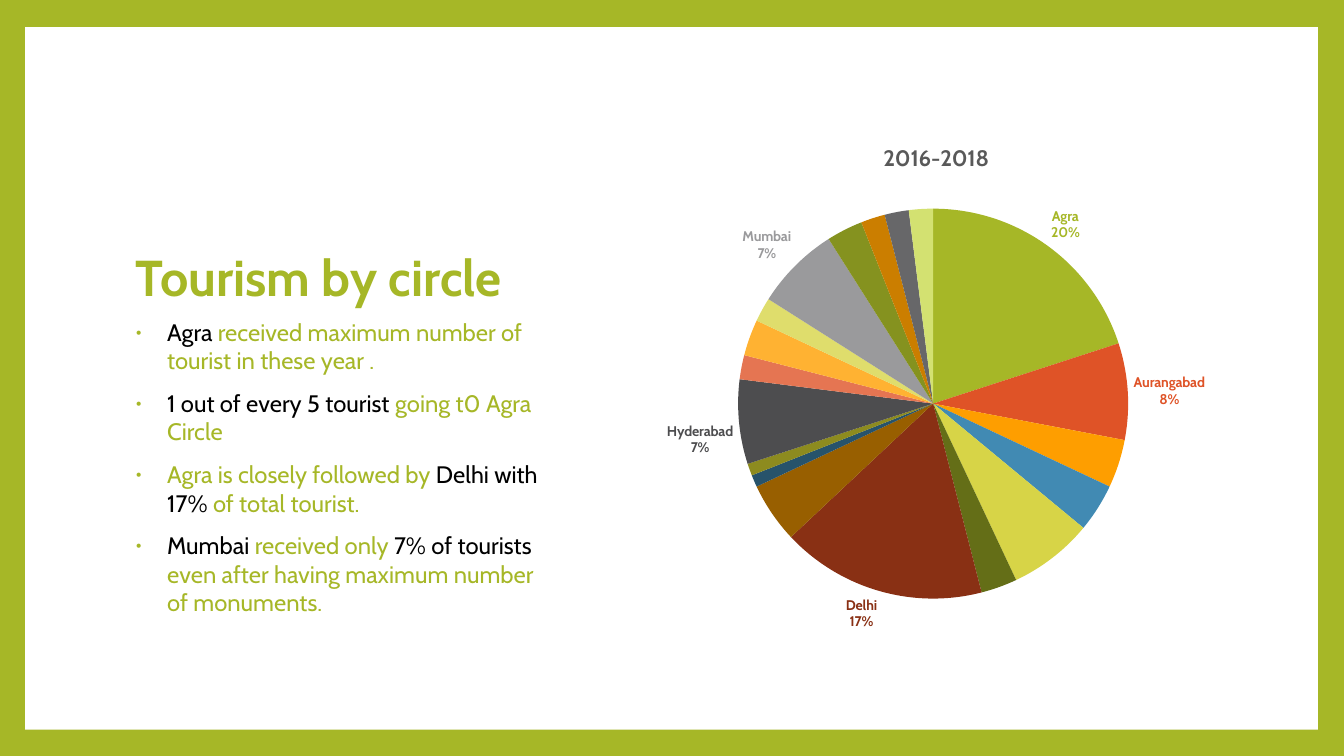
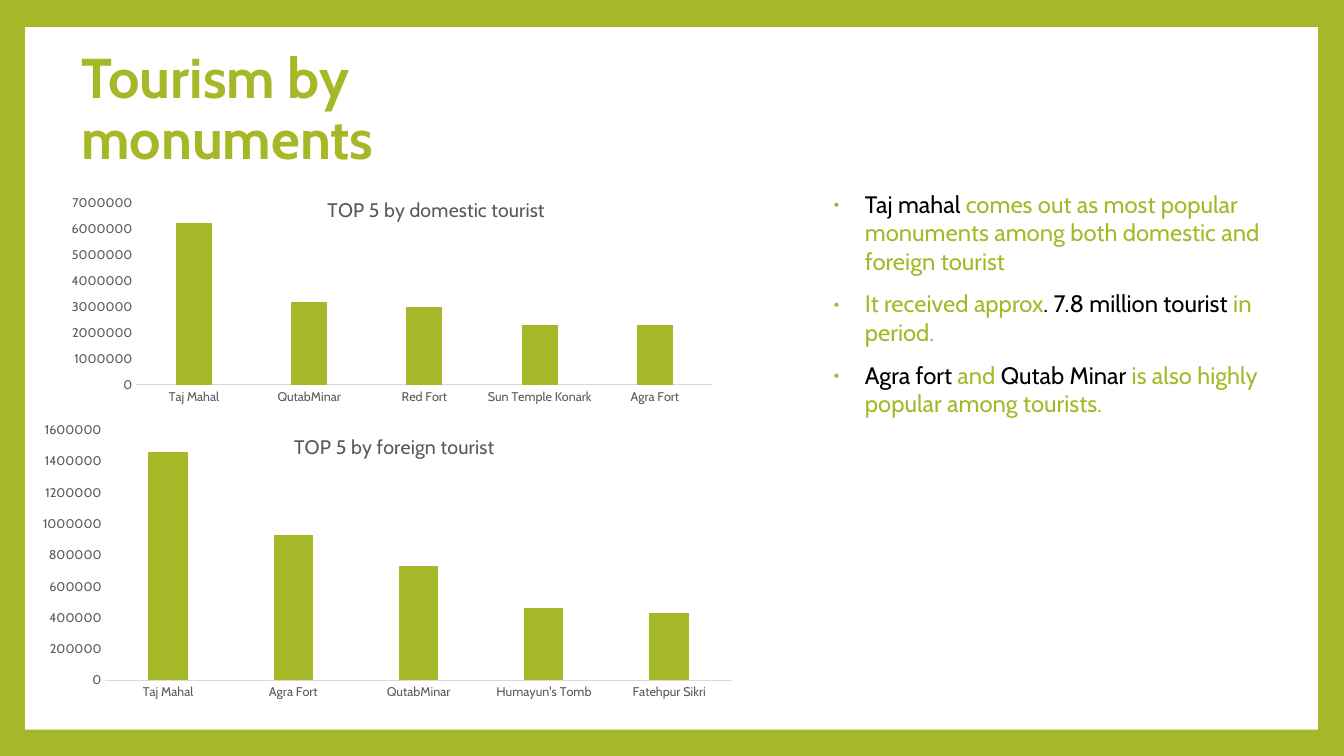
from dataclasses import dataclass

from pptx import Presentation
from pptx.chart.data import CategoryChartData
from pptx.dml.color import RGBColor
from pptx.enum.chart import XL_CHART_TYPE, XL_TICK_MARK
from pptx.enum.shapes import MSO_SHAPE
from pptx.enum.text import MSO_ANCHOR
from pptx.oxml import parse_xml
from pptx.oxml.ns import nsdecls, qn
from pptx.util import Inches, Pt

PIE = XL_CHART_TYPE.PIE
COLUMN = XL_CHART_TYPE.COLUMN_CLUSTERED
NO_TICK = XL_TICK_MARK.NONE
RECTANGLE = MSO_SHAPE.RECTANGLE
BOTTOM = MSO_ANCHOR.BOTTOM


@dataclass(frozen=True)
class Theme:
    font: str = "Cabin"
    green: str = "A6B727"
    black: str = "000000"
    white: str = "FFFFFF"
    grey: str = "595959"
    axis_line: str = "D9D9D9"
    body_size: int = 17
    pie_title_size: int = 16
    column_title_size: int = 14
    label_size: int = 10
    axis_size: int = 9


THEME = Theme()

CIRCLES = [
    ("Agra", 20, "A6B727"), ("Aurangabad", 8, "DF5327"),
    ("Bengaluru", 4, "FE9E00"), ("Bhopal", 4, "418AB3"),
    ("Bhubaneswar", 7, "D7D447"), ("Chandigarh", 0, "818183"),
    ("Chennai", 3, "646E17"), ("Delhi", 17, "893014"),
    ("Dharwad", 5, "985F00"), ("Guwahati", 1, "27536B"),
    ("Hampi Mini", 1, "8D8B1F"), ("Hyderabad", 7, "4D4D4F"),
    ("Jaipur", 0, "C5D741"), ("Jodhpur", 2, "E57552"),
    ("Kolkata", 3, "FFB232"), ("Leh Mini", 0, "63A3C6"),
    ("Lucknow", 2, "DFDD6C"), ("Mumbai", 7, "9A9A9C"),
    ("Patna", 3, "85921F"), ("Raipur", 0, "B7401B"),
    ("Sarnath", 2, "CB7E00"), ("Shimla Mini", 0, "346E8F"),
    ("Srinagar", 0, "BCB929"), ("Thrissur", 2, "676769"),
    ("Vadodara", 2, "D3E171"),
]
LABELLED_CIRCLES = {"Agra", "Aurangabad", "Delhi", "Hyderabad", "Mumbai"}

DOMESTIC = {"Taj Mahal": 6200000, "QutabMinar": 3200000, "Red Fort": 3000000,
            "Sun Temple Konark": 2300000, "Agra Fort": 2300000}
FOREIGN = {"Taj Mahal": 1460000, "Agra Fort": 930000, "QutabMinar": 730000,
           "Humayun's Tomb": 460000, "Fatehpur Sikri": 430000}

# Each bullet is a list of (text, emphasised) runs.
CIRCLE_BULLETS = [
    [("Agra", True),
     (" received maximum number of tourist in these year .", False)],
    [("1 out of every 5 tourist ", True), ("going t0 Agra Circle", False)],
    [("Agra is closely followed by ", False), ("Delhi with 17% ", True),
     ("of total tourist.", False)],
    [("Mumbai ", True), ("received only ", False), ("7% of tourists ", True),
     ("even after having maximum number of monuments.", False)],
]
MONUMENT_BULLETS = [
    [("Taj mahal ", True),
     ("comes out as most popular monuments among both domestic and foreign "
      "tourist", False)],
    [("It received approx", False), (". 7.8 million tourist ", True),
     ("in period.", False)],
    [("Agra fort ", True), ("and ", False), ("Qutab Minar ", True),
     ("is also highly popular among tourists.", False)],
]


def rgb(color):
    return RGBColor.from_string(color)


def box(left, top, width, height):
    return Inches(left), Inches(top), Inches(width), Inches(height)


def style_font(font, size, color, bold=False):
    font.name = THEME.font
    font.size = Pt(size)
    font.bold = bold
    font.color.rgb = rgb(color)


def add_run(paragraph, text, size, color, bold=False):
    run = paragraph.add_run()
    run.text = text
    style_font(run.font, size, color, bold)


def add_framed_slide(presentation):
    """Add a blank slide with the white panel that leaves a green border."""
    slide = presentation.slides.add_slide(presentation.slide_layouts[6])
    panel = slide.shapes.add_shape(RECTANGLE, *box(0.25, 0.27, 12.82, 6.97))
    panel.shadow.inherit = False
    panel.fill.solid()
    panel.fill.fore_color.rgb = rgb(THEME.white)
    panel.line.fill.background()
    return slide


def add_text_frame(slide, position):
    text_frame = slide.shapes.add_textbox(*box(*position)).text_frame
    text_frame.word_wrap = True
    return text_frame


def add_title(slide, text, position, size):
    text_frame = add_text_frame(slide, position)
    text_frame.vertical_anchor = BOTTOM
    paragraph = text_frame.paragraphs[0]
    paragraph.line_spacing = 0.9
    add_run(paragraph, text, size, THEME.green, bold=True)


def set_bullet(paragraph):
    properties = paragraph._p.get_or_add_pPr()
    properties.set("marL", str(Inches(0.31)))
    properties.set("indent", str(-Inches(0.31)))
    for xml in (
        f'<a:buClr {nsdecls("a")}><a:srgbClr val="{THEME.green}"/></a:buClr>',
        f'<a:buSzPct {nsdecls("a")} val="80000"/>',
        f'<a:buFont {nsdecls("a")} typeface="{THEME.font}"/>',
        f'<a:buChar {nsdecls("a")} char="•"/>',
    ):
        properties.append(parse_xml(xml))


def add_bullets(slide, bullets, position):
    text_frame = add_text_frame(slide, position)
    for index, runs in enumerate(bullets):
        paragraph = (text_frame.add_paragraph() if index
                     else text_frame.paragraphs[0])
        paragraph.space_before = Pt(10)
        set_bullet(paragraph)
        for text, emphasised in runs:
            color = THEME.black if emphasised else THEME.green
            add_run(paragraph, text, THEME.body_size, color)


def set_layout(parent, index, target="", **fractions):
    """Place a chart part by fractions of the chart's width and height."""
    previous = parent.find(qn("c:layout"))
    if previous is not None:
        parent.remove(previous)
    modes = "".join(f'<c:{axis}Mode val="edge"/>' for axis in "xy")
    sizes = "".join(f'<c:{name} val="{value}"/>'
                    for name, value in fractions.items())
    parent.insert(index, parse_xml(
        f'<c:layout {nsdecls("c")}><c:manualLayout>{target}{modes}{sizes}'
        '</c:manualLayout></c:layout>'))


def add_chart(slide, kind, values, position, plot_area):
    data = CategoryChartData()
    data.categories = list(values)
    data.add_series("Series 1", list(values.values()))
    chart = slide.shapes.add_chart(kind, *box(*position), data).chart
    chart.has_legend = False
    style_font(chart.font, THEME.label_size, THEME.black)
    set_layout(chart.element.xpath("c:chart/c:plotArea")[0], 0,
               '<c:layoutTarget val="inner"/>',
               **dict(zip("xywh", plot_area)))
    return chart


def add_chart_title(chart, text, size, left, top, bold=False):
    chart.has_title = True
    paragraph = chart.chart_title.text_frame.paragraphs[0]
    add_run(paragraph, text, size, THEME.grey, bold)
    set_layout(chart.element.xpath("c:chart/c:title")[0], 1, x=left, y=top)


def label_xml(index, color):
    return f'''<c:dLbl><c:idx val="{index}"/>
      <c:spPr><a:noFill/><a:ln><a:noFill/></a:ln></c:spPr>
      <c:txPr><a:bodyPr/><a:p><a:pPr>
        <a:defRPr sz="{THEME.label_size * 100}" b="1">
          <a:solidFill><a:srgbClr val="{color}"/></a:solidFill>
          <a:latin typeface="{THEME.font}"/>
        </a:defRPr></a:pPr><a:endParaRPr lang="en-US"/></a:p></c:txPr>
      <c:dLblPos val="outEnd"/>{label_flags(1)}
      <c:separator>\n</c:separator></c:dLbl>'''


def label_flags(shown):
    flags = {"LegendKey": 0, "Val": 0, "CatName": shown, "SerName": 0,
             "Percent": shown, "BubbleSize": 0}
    return "".join(f'<c:show{name} val="{value}"/>'
                   for name, value in flags.items())


def add_circle_pie(slide):
    values = {name: share for name, share, _ in CIRCLES}
    chart = add_chart(slide, PIE, values, (5.92, 1.17, 6.67, 5.25),
                      (0.21, 0.17, 0.58, 0.74))
    add_chart_title(chart, "2016-2018", THEME.pie_title_size, 0.42, 0.04,
                    bold=True)
    chart.plots[0].vary_by_categories = True
    series = chart.plots[0].series[0]
    labels = ""
    for index, (name, _, color) in enumerate(CIRCLES):
        fill = series.points[index].format.fill
        fill.solid()
        fill.fore_color.rgb = rgb(color)
        if name in LABELLED_CIRCLES:
            labels += label_xml(index, color)
    chart.element.xpath(".//c:ser/c:cat")[0].addprevious(parse_xml(
        f'<c:dLbls {nsdecls("c", "a")}>{labels}{label_flags(0)}</c:dLbls>'))


def add_monument_columns(slide, title, values, position, plot_area,
                         title_place, maximum, step):
    chart = add_chart(slide, COLUMN, values, position, plot_area)
    add_chart_title(chart, title, THEME.column_title_size, *title_place)
    plot = chart.plots[0]
    plot.vary_by_categories = False
    plot.gap_width = 219
    plot.overlap = -27
    fill = plot.series[0].format.fill
    fill.solid()
    fill.fore_color.rgb = rgb(THEME.green)
    for axis in (chart.category_axis, chart.value_axis):
        axis.major_tick_mark = axis.minor_tick_mark = NO_TICK
        axis.has_major_gridlines = False
        style_font(axis.tick_labels.font, THEME.axis_size, THEME.grey)
    chart.category_axis.format.line.color.rgb = rgb(THEME.axis_line)
    chart.category_axis.format.line.width = Pt(0.75)
    value_axis = chart.value_axis
    value_axis.format.line.fill.background()
    value_axis.minimum_scale = 0
    value_axis.maximum_scale = maximum
    value_axis.major_unit = step


def build_circle_slide(presentation):
    slide = add_framed_slide(presentation)
    add_title(slide, "Tourism by circle", (1.25, 1.2, 4.3, 1.9), 36)
    add_circle_pie(slide)
    add_bullets(slide, CIRCLE_BULLETS, (1.25, 3.1, 4.3, 3.15))


def build_monument_slide(presentation):
    slide = add_framed_slide(presentation)
    add_title(slide, "Tourism by monuments", (0.71, 0, 4.3, 1.75), 40)
    add_monument_columns(
        slide, "TOP 5 by domestic tourist", DOMESTIC,
        (0.71, 1.78, 6.69, 2.55), (0.09, 0.09, 0.86, 0.71), (0.37, 0.05),
        7000000, 1000000)
    add_bullets(slide, MONUMENT_BULLETS, (8.17, 1.83, 4.71, 4.98))
    add_monument_columns(
        slide, "TOP 5 by foreign tourist", FOREIGN,
        (0.34, 4.12, 7.06, 2.92), (0.1, 0.05, 0.88, 0.85), (0.36, 0.05),
        1600000, 200000)


def main():
    presentation = Presentation()
    presentation.slide_width = Inches(13.33)
    presentation.slide_height = Inches(7.5)
    background = presentation.slide_master.background.fill
    background.solid()
    background.fore_color.rgb = rgb(THEME.green)
    build_circle_slide(presentation)
    build_monument_slide(presentation)
    presentation.save("out.pptx")


if __name__ == "__main__":
    main()
